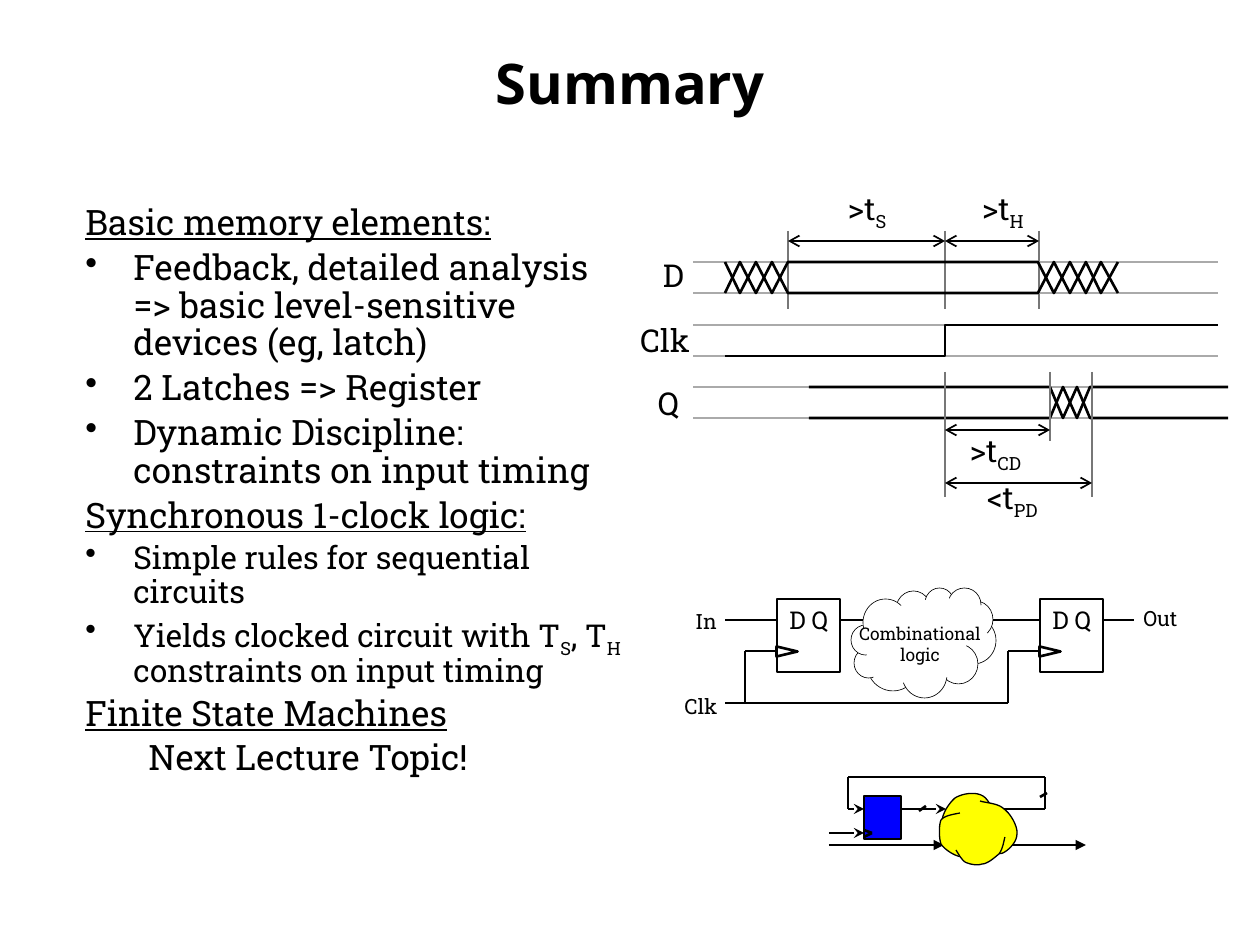
import pptx
import pptx.util
import pptx.dml.color
import pptx.enum.shapes
import pptx.enum.text
import pptx.oxml
import pptx.oxml.ns

UNIT = pptx.util.Inches(1) / 126
KIND = pptx.enum.shapes.MSO_SHAPE
ALIGN = pptx.enum.text.PP_ALIGN
ANCHOR = pptx.enum.text.MSO_ANCHOR
FIT = pptx.enum.text.MSO_AUTO_SIZE
SLAB = "Roboto Slab"
BLACK, WHITE, DARK, PALE = "000000", "FFFFFF", "777777", "AAAAAA"


def emu(px):
    return pptx.util.Emu(round(px * UNIT))


def tint(code):
    return pptx.dml.color.RGBColor.from_string(code)


def apply(item, values):
    for name, value in values.items():
        setattr(item, name, value)


def node(parent, tag, **attrs):
    child = pptx.oxml.parse_xml("<a:%s %s/>" % (tag, pptx.oxml.ns.nsdecls("a")))
    for name, value in attrs.items():
        child.set(name, value)
    parent.append(child)


def paint(shape, fill, width):
    shape.shadow.inherit = False
    if fill:
        shape.fill.solid()
        shape.fill.fore_color.rgb = tint(fill)
    else:
        shape.fill.background()
    if width:
        shape.line.color.rgb = tint(BLACK)
        shape.line.width = pptx.util.Pt(width)
    else:
        shape.line.fill.background()


def line(shapes, x1, y1, x2, y2, color=BLACK, width=1, head=None, tail=None):
    wire = shapes.add_connector(pptx.enum.shapes.MSO_CONNECTOR.STRAIGHT,
                                emu(x1), emu(y1), emu(x2), emu(y2))
    wire.line.color.rgb = tint(color)
    wire.line.width = pptx.util.Pt(width)
    edge = wire.line._get_or_add_ln()
    for tag, style in (("headEnd", head), ("tailEnd", tail)):
        if style:
            node(edge, tag, type=style)
    node(wire._element.spPr, "effectLst")


def form(shapes, kind, x, y, w, h, fill=WHITE, width=1.5, turn=0):
    shape = shapes.add_shape(kind, emu(x), emu(y), emu(w), emu(h))
    shape.rotation = turn
    paint(shape, fill, width)
    return shape


def trace(shapes, points, fill=None, width=1.5, close=False):
    spots = [(emu(x), emu(y)) for x, y in points]
    pen = shapes.build_freeform(*spots[0], scale=1.0)
    pen.add_line_segments(spots[1:], close=close)
    paint(pen.convert_to_shape(), fill, width)


def curve(points, steps=10):
    spots = [points[0]]
    for i in range(0, len(points) - 1, 3):
        a, b, c, d = points[i:i + 4]
        for k in range(1, steps + 1):
            t = k / steps
            u = 1 - t
            spots.append(tuple(u**3 * p + 3 * u*u*t * q + 3 * u*t*t * r + t**3 * s
                               for p, q, r, s in zip(a, b, c, d)))
    return spots


def write(para, text, size, face=SLAB, **style):
    for i, part in enumerate(text.split("|")):
        run = para.add_run()
        run.text = part
        apply(run.font, dict(style, size=pptx.util.Pt(size), name=face))
        run.font.color.rgb = tint(BLACK)
        if i % 2:
            run._r.get_or_add_rPr().set("baseline", "-25000")


def label(shapes, x, y, w, h, rows, size, pad=True, wrap=False, align=ALIGN.LEFT):
    frame = shapes.add_textbox(emu(x), emu(y), emu(w), emu(h)).text_frame
    apply(frame, {"word_wrap": wrap, "auto_size": FIT.SHAPE_TO_FIT_TEXT})
    if not pad:
        apply(frame, dict.fromkeys(
            ("margin_left", "margin_right", "margin_top", "margin_bottom"), 0))
    for i, row in enumerate(rows):
        para = frame.add_paragraph() if i else frame.paragraphs[0]
        para.alignment = align
        write(para, row, size)


def title(shapes):
    frame = shapes.add_textbox(emu(63), emu(38), emu(1134), emu(88)).text_frame
    apply(frame, {"word_wrap": True, "vertical_anchor": ANCHOR.MIDDLE})
    para = frame.paragraphs[0]
    para.alignment = ALIGN.CENTER
    write(para, "Summary", 32, "Open Sans", bold=True)


def body(shapes):
    rows = [
        ("head", 20, "Basic memory elements:"),
        ("dot", 20, "Feedback, detailed analysis => basic level-sensitive devices (eg, latch)"),
        ("dot", 20, "2 Latches => Register"),
        ("dot", 20, "Dynamic Discipline: constraints on input timing"),
        ("head", 20, "Synchronous 1-clock logic:"),
        ("dot", 18, "Simple rules for sequential circuits"),
        ("dot", 18, "Yields clocked circuit with T|S|, T|H| constraints on input timing"),
        ("head", 20, "Finite State Machines"),
        ("plain", 20, "Next Lecture Topic!"),
    ]
    dents = {"head": (53, -53), "dot": (48, -48), "plain": (111, -48)}
    frame = shapes.add_textbox(emu(73), emu(199), emu(567), emu(635)).text_frame
    frame.word_wrap = True
    for i, (kind, size, text) in enumerate(rows):
        para = frame.add_paragraph() if i else frame.paragraphs[0]
        apply(para, {"line_spacing": 0.9, "space_before": pptx.util.Pt(size * 0.2)})
        props = para._p.get_or_add_pPr()
        for name, px in zip(("marL", "indent"), dents[kind]):
            props.set(name, str(emu(px)))
        if kind == "dot":
            node(props, "buChar", char="•")
        write(para, text, size, underline=kind == "head")


def timing(shapes):
    for x in (788, 945, 1039):
        line(shapes, x, 231, x, 309, DARK)
    for top, end in ((262, 1218), (325, 1218), (387, 1207)):
        for y in (top, top + 31):
            line(shapes, 693, y, end, y, PALE)
    waves = [
        (262, [725, 740, 756, 772, 788, 1038, 1054, 1070, 1086, 1101, 1118], "01010010101"),
        (387, [809, 1050, 1063, 1077, 1090, 1228], "001011"),
    ]
    for top, xs, bits in waves:
        for flip in (0, 1):
            trace(shapes, [(x, top + 31 * (int(b) ^ flip)) for x, b in zip(xs, bits)])
    trace(shapes, [(725, 356), (945, 356), (945, 325), (1218, 325)])
    for x, end in ((945, 497), (1092, 497), (1050, 441)):
        line(shapes, x, 372, x, end, DARK)
    for x1, x2, y in ((788, 945, 241), (945, 1039, 241), (945, 1050, 430), (945, 1092, 483)):
        line(shapes, x1, y, x2, y, head="arrow", tail="arrow")
    for x, y, w, text in ((848, 189, 66, ">t|S"), (982, 189, 58, ">t|H"),
                          (663, 256, 25, "D"), (640, 321, 55, "Clk"), (658, 384, 25, "Q"),
                          (970, 431, 64, ">t|CD"), (987, 478, 62, "<t|PD")):
        label(shapes, x, y, w, 38, [text], 18, pad=False)


def latch(shapes, x, start, end):
    frame = form(shapes, KIND.RECTANGLE, x, 599, 63, 73).text_frame
    apply(frame, {"word_wrap": False, "vertical_anchor": ANCHOR.TOP})
    frame.paragraphs[0].alignment = ALIGN.LEFT
    write(frame.paragraphs[0], "D Q", 14)
    form(shapes, KIND.ISOSCELES_TRIANGLE, x + 5, 641, 10, 21, turn=90)
    line(shapes, x, 651, x - 32, 651)
    line(shapes, x - 32, 651, x - 32, 703)
    line(shapes, x, 620, start, 620)
    line(shapes, x + 63, 620, end, 620)


def circuit(shapes):
    latch(shapes, 777, 725, 872)
    latch(shapes, 1040, 872, 1134)
    for puff in ((896, 591, 35, 37), (925, 588, 29, 30), (951, 617, 45, 47),
                 (867, 638, 52, 53), (939, 644, 39, 40), (854, 648, 29, 30),
                 (851, 625, 29, 30), (863, 599, 45, 47), (902, 651, 45, 47),
                 (958, 601, 35, 37), (948, 588, 33, 33)):
        form(shapes, KIND.OVAL, *puff, width=0.38)
    trace(shapes, [(901, 606), (906, 600), (930, 600), (946, 597), (968, 607), (979, 605),
                   (984, 606), (985, 631), (989, 635), (979, 655), (968, 641), (965, 649),
                   (950, 677), (901, 683), (874, 678), (867, 662), (867, 644), (862, 629)],
          WHITE, 0, True)
    line(shapes, 1008, 703, 725, 703)
    for x, y, w, text in ((1131, 599, 66, "Out"), (683, 602, 48, "In"), (672, 687, 63, "Clk")):
        label(shapes, x, y, w, 38, [text], 12)
    label(shapes, 844, 617, 152, 55, ["Combinational", "logic"], 10, align=ALIGN.CENTER)


def machine(shapes):
    line(shapes, 829, 845, 944, 845, width=1.5, tail="triangle")
    lobes = [
        [(1003, 827), (999, 822), (990, 800), (983, 796), (975, 791), (961, 794), (955, 798),
         (949, 803), (941, 815), (942, 824), (945, 832), (961, 842), (966, 847)],
        [(960, 813), (956, 814), (945, 815), (941, 820), (939, 825), (939, 838), (941, 844),
         (945, 850), (956, 857), (963, 857), (970, 857), (982, 844), (987, 842)],
        [(980, 845), (984, 847), (997, 856), (1003, 853), (1009, 850), (1017, 842), (1017, 834),
         (1018, 827), (1011, 814), (1004, 809), (998, 803), (985, 803), (980, 801)],
        [(956, 850), (958, 853), (961, 859), (965, 862), (969, 864), (977, 866), (982, 864),
         (987, 864), (993, 859), (999, 854), (1003, 849), (1004, 840), (1005, 837)],
    ]
    for lobe in lobes:
        trace(shapes, curve(lobe), "FFFF00", 0.75)
    for x1, x2, y in ((829, 864, 833), (848, 864, 809), (901, 946, 809)):
        line(shapes, x1, y, x2, y, width=1.5, tail="stealth")
    loop = [(1004, 809), (1045, 809), (1045, 777), (848, 777), (848, 809)]
    for a, b in zip(loop, loop[1:]):
        line(shapes, *a, *b, width=1.5)
    line(shapes, 1012, 845, 1086, 845, width=1.5, tail="triangle")
    form(shapes, KIND.RECTANGLE, 864, 796, 37, 43, "0000FF", 0.75)
    for tick in ((864, 830, 872, 833), (872, 833, 864, 837),
                 (926, 806, 919, 811), (1047, 793, 1040, 797)):
        line(shapes, *tick, width=1.5)


def main():
    deck = pptx.Presentation()
    apply(deck, {"slide_width": emu(1260), "slide_height": emu(945)})
    shapes = deck.slides.add_slide(deck.slide_layouts[6]).shapes
    body(shapes)
    for draw in (timing, circuit, machine):
        draw(shapes.add_group_shape().shapes)
    title(shapes)
    deck.save("out.pptx")


main()
